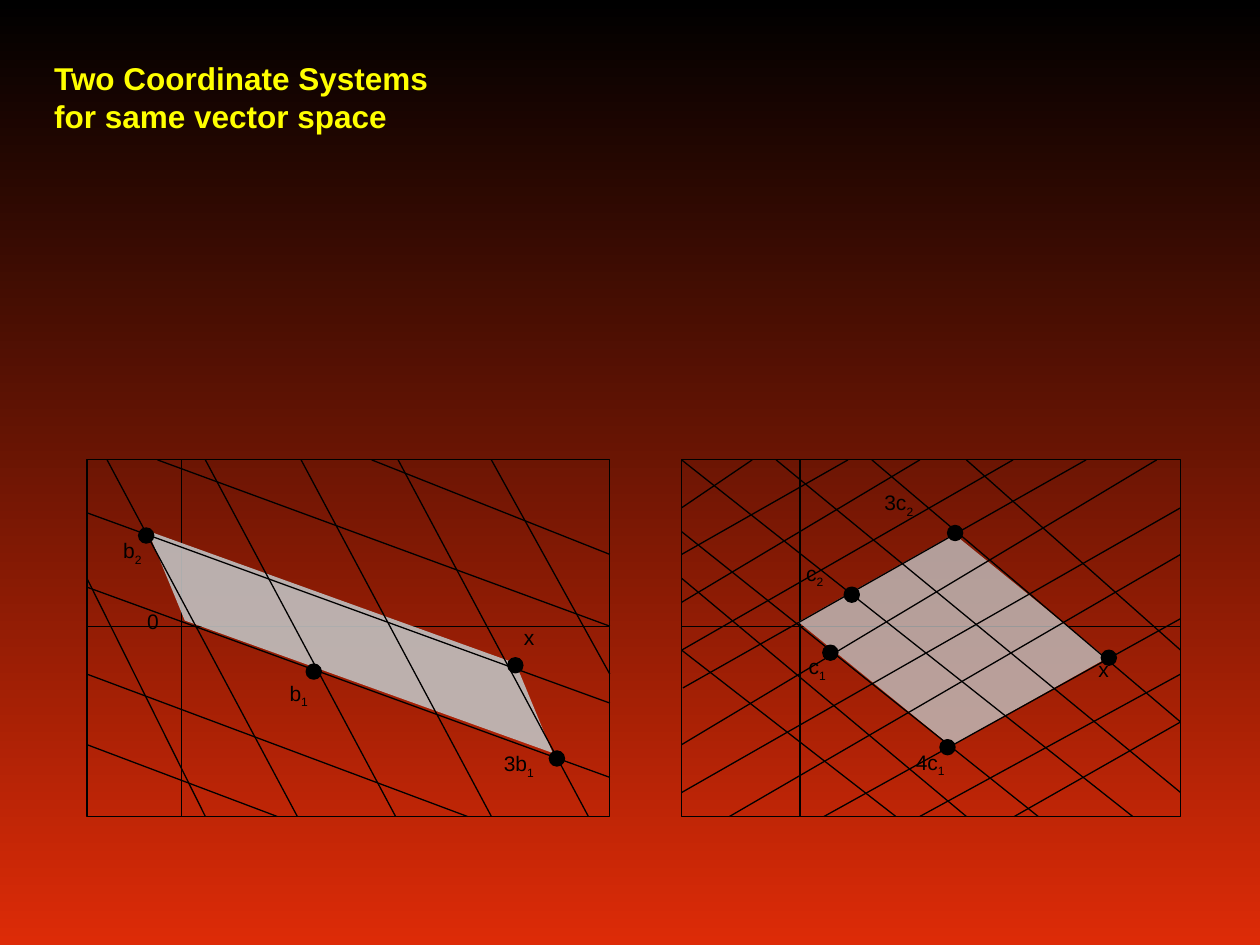
"""Build a slide comparing two coordinate systems for one vector space."""
import pptx
import pptx.util
import pptx.dml.color
import pptx.enum.shapes
import pptx.enum.text
import lxml.etree
from pptx.util import Inches

theme = {
    "top": "000000", "base": "DD2B07", "ink": "000000", "area": "C0C0C0",
    "title": "FFFF00", "font": "Arial", "head": 18, "label": 12, "line": 0.75,
}
rgb = pptx.dml.color.RGBColor.from_string
kind = pptx.enum.shapes.MSO_SHAPE
ns = "{http://schemas.openxmlformats.org/drawingml/2006/main}"
top, end, axis, dot = 3.65, 6.48, 4.97, 0.12

panels = [
    {
        "left": 0.69, "right": 4.84, "mid": 1.44,
        "area": (0.97, 4.81, 3.62, 0.57), "turn": 19.8, "skew": 0.907,
        "flip": True, "alpha": 90,
        "grid": [
            (0.69, 4.66, 4.84, 6.17), (0.69, 4.07, 4.84, 5.58),
            (1.25, top, 4.84, 4.97), (2.95, top, 4.84, 4.4),
            (0.69, 5.35, 3.71, end), (0.69, 5.91, 2.2, end),
            (1.63, top, 3.14, end), (2.39, top, 3.9, end),
            (0.85, top, 2.36, end), (3.16, top, 4.67, end),
            (3.9, top, 4.84, 5.35), (0.69, 4.59, 1.63, end),
        ],
        "dots": [(4.03, 5.22), (4.36, 5.96), (2.43, 5.27), (1.1, 4.19)],
        "labels": [
            ("0", "", 1.07, 4.78, 0.57), ("b", "2", 0.88, 4.22, 0.57),
            ("b", "1", 2.2, 5.35, 0.57), ("3b", "1", 3.9, 5.91, 1.13),
            ("x", "", 4.06, 4.91, 0.57),
        ],
    },
    {
        "left": 5.41, "right": 9.37, "mid": 6.35,
        "area": (6.52, 4.42, 2.08, 1.32), "turn": 39.1, "skew": 0.393,
        "flip": False, "alpha": 80,
        "grid": [
            (8.62, top, 5.42, 5.46), (9.18, top, 5.41, 5.91),
            (9.37, 4.03, 5.41, 6.29), (9.37, 4.4, 5.79, end),
            (9.37, 4.91, 6.54, end), (9.37, 5.35, 7.3, end),
            (9.37, 5.73, 8.05, end), (8.04, top, 5.41, 5.16),
            (7.3, top, 5.41, 4.78), (6.73, top, 5.41, 4.4),
            (5.97, top, 5.41, 4.03), (5.41, 4.22, 8.24, end),
            (5.41, 4.59, 7.67, end), (5.41, 5.16, 7.11, end),
            (5.41, top, 8.99, end), (6.16, top, 9.37, 6.29),
            (6.92, top, 9.37, 5.73), (7.67, top, 9.37, 5.16),
        ],
        "dots": [(6.7, 4.66), (6.53, 5.12), (7.46, 5.87), (7.52, 4.17), (8.74, 5.16)],
        "labels": [
            ("3c", "2", 6.92, 3.84, 1.32), ("c", "1", 6.32, 5.14, 0.57),
            ("4c", "1", 7.17, 5.9, 1.13), ("c", "2", 6.3, 4.4, 0.57),
            ("x", "", 8.62, 5.16, 0.57),
        ],
    },
]

deck = pptx.Presentation()
deck.slide_width, deck.slide_height = Inches(10), Inches(7.5)
slide = deck.slides.add_slide(deck.slide_layouts[5])
shapes = slide.shapes

back = slide.background.fill
back.gradient()
back.gradient_angle = 270
for stop, place, tone in zip(back.gradient_stops, (0, 1), ("top", "base")):
    stop.position = place
    stop.color.rgb = rgb(theme[tone])


def draw_line(x1, y1, x2, y2):
    line = shapes.add_connector(
        pptx.enum.shapes.MSO_CONNECTOR.STRAIGHT,
        Inches(x1), Inches(y1), Inches(x2), Inches(y2))
    line.line.color.rgb = rgb(theme["ink"])
    line.line.width = pptx.util.Pt(theme["line"])
    lxml.etree.SubElement(line._element.spPr, ns + "effectLst")


def draw_shape(form, box, fill=None, edge=True):
    shape = shapes.add_shape(form, *map(Inches, box))
    shape.shadow.inherit = False
    if fill:
        shape.fill.solid()
        shape.fill.fore_color.rgb = rgb(fill)
    else:
        shape.fill.background()
    if edge:
        shape.line.color.rgb = rgb(theme["ink"])
        shape.line.width = pptx.util.Pt(theme["line"])
    else:
        shape.line.fill.background()
    return shape


for panel in panels:
    left, right = panel["left"], panel["right"]
    draw_shape(kind.RECTANGLE, (left, top, right - left, end - top))
    draw_line(panel["mid"], top, panel["mid"], end)
    draw_line(left, axis, right, axis)

    area = draw_shape(kind.PARALLELOGRAM, panel["area"], theme["area"], False)
    area.adjustments[0] = panel["skew"]
    area.rotation = panel["turn"]
    if panel["flip"]:
        area._element.spPr.xfrm.set("flipV", "1")
    tint = area._element.spPr.find(f"{ns}solidFill/{ns}srgbClr")
    lxml.etree.SubElement(tint, ns + "alpha", val=str(panel["alpha"] * 1000))

    for ends in panel["grid"]:
        draw_line(*ends)
    for x, y in panel["dots"]:
        draw_shape(kind.OVAL, (x, y, dot, dot), theme["ink"])
    for name, sub, x, y, wide in panel["labels"]:
        box = shapes.add_textbox(Inches(x), Inches(y), Inches(wide), Inches(0.57))
        box.text_frame.word_wrap = True
        para = box.text_frame.paragraphs[0]
        para.text = name
        if sub:
            low = para.add_run()
            low.text = sub
            low.font._element.set("baseline", "-25000")
        for run in para.runs:
            run.font.name = theme["font"]
            run.font.size = pptx.util.Pt(theme["label"])
            run.font.color.rgb = rgb(theme["ink"])

title = shapes.title
title.left, title.top = Inches(0.33), Inches(0.42)
title.width, title.height = Inches(9.42), Inches(2.58)
frame = title.text_frame
frame.text = "Two Coordinate Systems\nfor same vector space"
frame.word_wrap = False
frame.auto_size = pptx.enum.text.MSO_AUTO_SIZE.NONE
frame.vertical_anchor = pptx.enum.text.MSO_ANCHOR.TOP
for para in frame.paragraphs:
    para.alignment = pptx.enum.text.PP_ALIGN.LEFT
    for run in para.runs:
        run.font.name = theme["font"]
        run.font.size = pptx.util.Pt(theme["head"])
        run.font.bold = True
        run.font.color.rgb = rgb(theme["title"])

deck.save("out.pptx")
